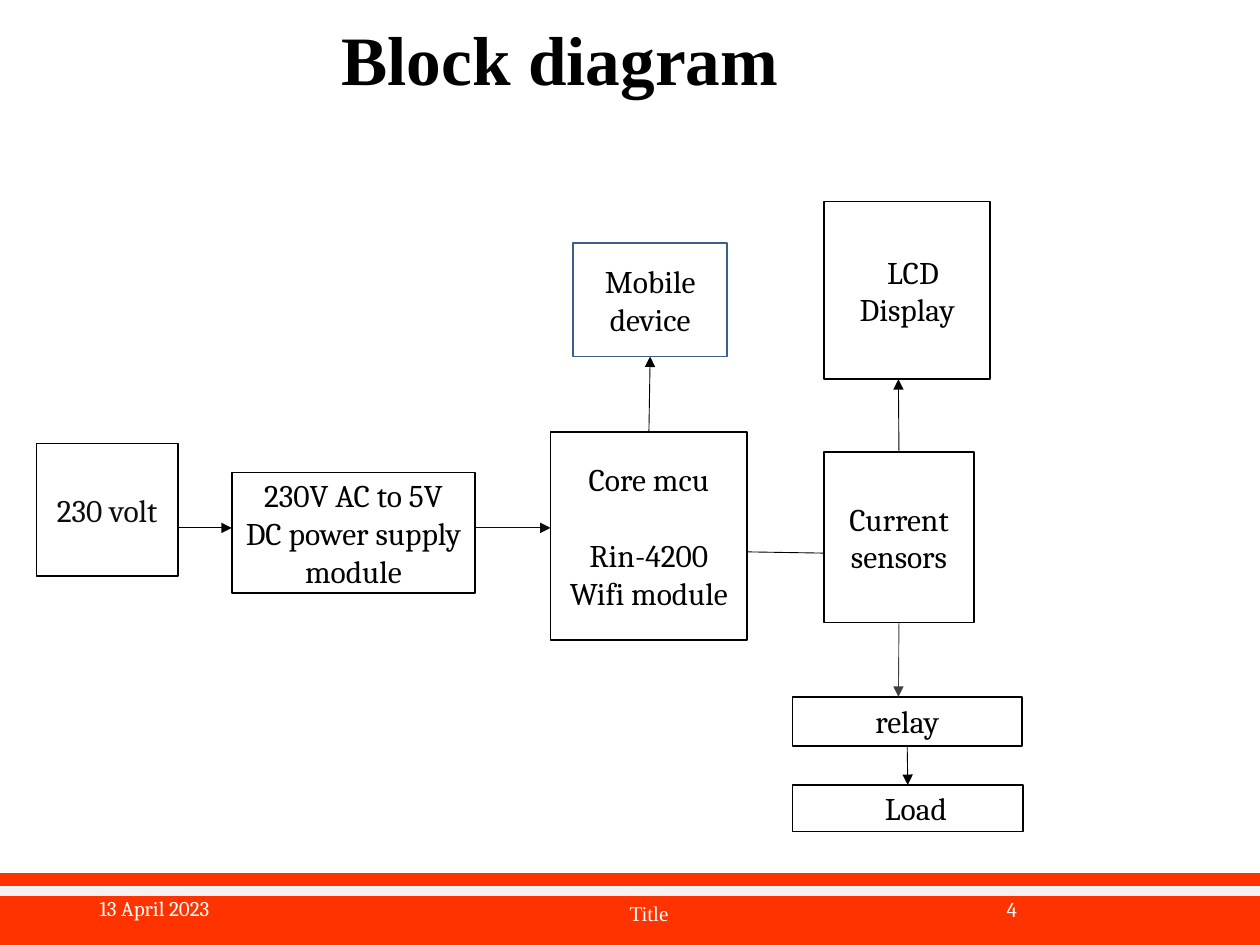
from lxml import etree
from pptx import Presentation
from pptx.dml.color import RGBColor
from pptx.enum.shapes import MSO_CONNECTOR as Connector, MSO_SHAPE as Shape
from pptx.enum.text import MSO_ANCHOR as Anchor, MSO_AUTO_SIZE as AutoSize, PP_ALIGN as Align
from pptx.oxml.ns import qn
from pptx.util import Inches, Pt

BLACK, WHITE, SOFT_BLACK = "000000", "FFFFFF", "0D0D0D"
TOP, LEFT, BOTTOM, RIGHT = range(4)


def paint(color_format, color):
    """Set a colour format from a hex string."""
    color_format.rgb = RGBColor.from_string(color)


def write(paragraph, text, size, font, color, align=Align.CENTER, bold=False):
    """Add one formatted run to a paragraph."""
    paragraph.alignment = align
    run = paragraph.add_run()
    run.text = text
    run.font.size, run.font.name, run.font.bold = Pt(size), font, bold
    paint(run.font.color, color)


def add_rectangle(slide, box, fill, line=None):
    """Add a flat rectangle with an optional outline."""
    shape = slide.shapes.add_shape(Shape.RECTANGLE, *map(Inches, box))
    shape.shadow.inherit = False
    shape.fill.solid()
    paint(shape.fill.fore_color, fill)
    if line:
        paint(shape.line.color, line)
        shape.line.width = Pt(1)
    else:
        shape.line.fill.background()
    return shape


def add_block(slide, box, lines, line=BLACK, color=BLACK, indent=0, gap=0):
    """Add a labelled block; indent and gap apply to its first line."""
    shape = add_rectangle(slide, box, WHITE, line)
    frame = shape.text_frame
    frame.word_wrap = True
    frame.vertical_anchor = Anchor.MIDDLE
    for index, text in enumerate(lines):
        paragraph = frame.add_paragraph() if index else frame.paragraphs[0]
        write(paragraph, text, 18, "Cambria", color)
    first = frame.paragraphs[0]
    first.space_after = Pt(gap)
    first._p.get_or_add_pPr().set("marL", str(Inches(indent)))
    return shape


def add_line(slide, start, end, color=BLACK, width=0.5, arrow=True, source=None, target=None):
    """Add a straight line, joined to a (shape, side) pair where one is given."""
    connector = slide.shapes.add_connector(Connector.STRAIGHT, *map(Inches, (*start, *end)))
    paint(connector.line.color, color)
    connector.line.width = Pt(width)
    if source:
        connector.begin_connect(*source)
    if target:
        connector.end_connect(*target)
    if arrow:
        etree.SubElement(connector.line._get_or_add_ln(), qn("a:tailEnd"), type="triangle")
    etree.SubElement(connector._element.spPr, qn("a:effectLst"))


def add_title(slide, box, text):
    """Place and format the title placeholder."""
    title = slide.shapes.title
    title.left, title.top, title.width, title.height = map(Inches, box)
    frame = title.text_frame
    frame.auto_size = AutoSize.NONE
    frame.vertical_anchor = Anchor.TOP
    frame.margin_top = 0
    paragraph = frame.paragraphs[0]
    paragraph.line_spacing = 0.9
    write(paragraph, text, 39.6, "Times New Roman", BLACK, bold=True)


def add_footer(slide, box):
    """Add the red band with its stripe, date, title and page number."""
    left, top, width, height = box
    add_rectangle(slide, box, "FF3300")
    stripe = top + 0.14
    add_line(slide, (left, stripe), (left + width, stripe), "F2F2F2", 6, arrow=False)
    labels = [
        ((0.69, stripe, 2.25, 0.28), "13 April 2023", "Cambria", Align.LEFT),
        ((7.06, stripe, 1.11, 0.29), "4", "Cambria", Align.RIGHT),
        ((2.44, top + 0.04, 5.42, 0.56), "Title", "Times New Roman", Align.CENTER),
    ]
    for area, text, font, align in labels:
        frame = slide.shapes.add_textbox(*map(Inches, area)).text_frame
        frame.word_wrap = True
        frame.vertical_anchor = Anchor.MIDDLE
        write(frame.paragraphs[0], text, 12, font, WHITE, align)


def add_diagram(slide, box):
    """Add the blocks and their connections, offset from the box's corner."""
    x, y, _, _ = box

    def block(left, top, width, height, *lines, **style):
        """Add a block at a place inside the diagram."""
        return add_block(slide, (x + left, y + top, width, height), lines, **style)

    def link(start, end, **style):
        """Add a line between two points inside the diagram."""
        add_line(slide, (x + start[0], y + start[1]), (x + end[0], y + end[1]), **style)

    block(0, 1.92, 1.12, 1.05, "230 volt", color=SOFT_BLACK)
    block(1.55, 2.15, 1.93, 0.96, "230V AC to 5V DC power supply module")
    controller = block(4.08, 1.83, 1.56, 1.65, "Core mcu", "Rin-4200", "Wifi module", gap=22)
    mobile = block(4.26, 0.33, 1.22, 0.9, "Mobile device", line="3A5F8C")
    sensors = block(6.25, 1.99, 1.19, 1.35, "Current sensors")
    block(6.25, 0, 1.32, 1.41, "LCD", "Display", indent=0.09)
    relay = block(6, 3.93, 1.82, 0.39, "relay")
    load = block(6, 4.63, 1.83, 0.37, "Load", indent=0.13)

    link((1.12, 2.59), (1.55, 2.59))
    link((3.48, 2.59), (4.08, 2.59), color=SOFT_BLACK)
    link((5.64, 2.78), (6.25, 2.79), arrow=False)
    link((4.86, 1.83), (4.86, 1.23), source=(controller, TOP), target=(mobile, BOTTOM))
    link((6.84, 1.99), (6.84, 1.41), source=(sensors, TOP))
    link((6.84, 3.34), (6.84, 3.93), color="404040", source=(sensors, BOTTOM))
    link((6.91, 4.32), (6.91, 4.63), source=(relay, BOTTOM), target=(load, TOP))


def main():
    """Build and save the presentation."""
    presentation = Presentation()
    presentation.slide_width, presentation.slide_height = Inches(10), Inches(7.5)
    slide = presentation.slides.add_slide(presentation.slide_layouts[5])
    add_footer(slide, (-0.02, 6.93, 10.02, 0.57))
    add_title(slide, (0.92, 0.2, 7.05, 1.14), "Block diagram")
    add_diagram(slide, (0.29, 1.6, 7.83, 5))
    presentation.save("out.pptx")


if __name__ == "__main__":
    main()
